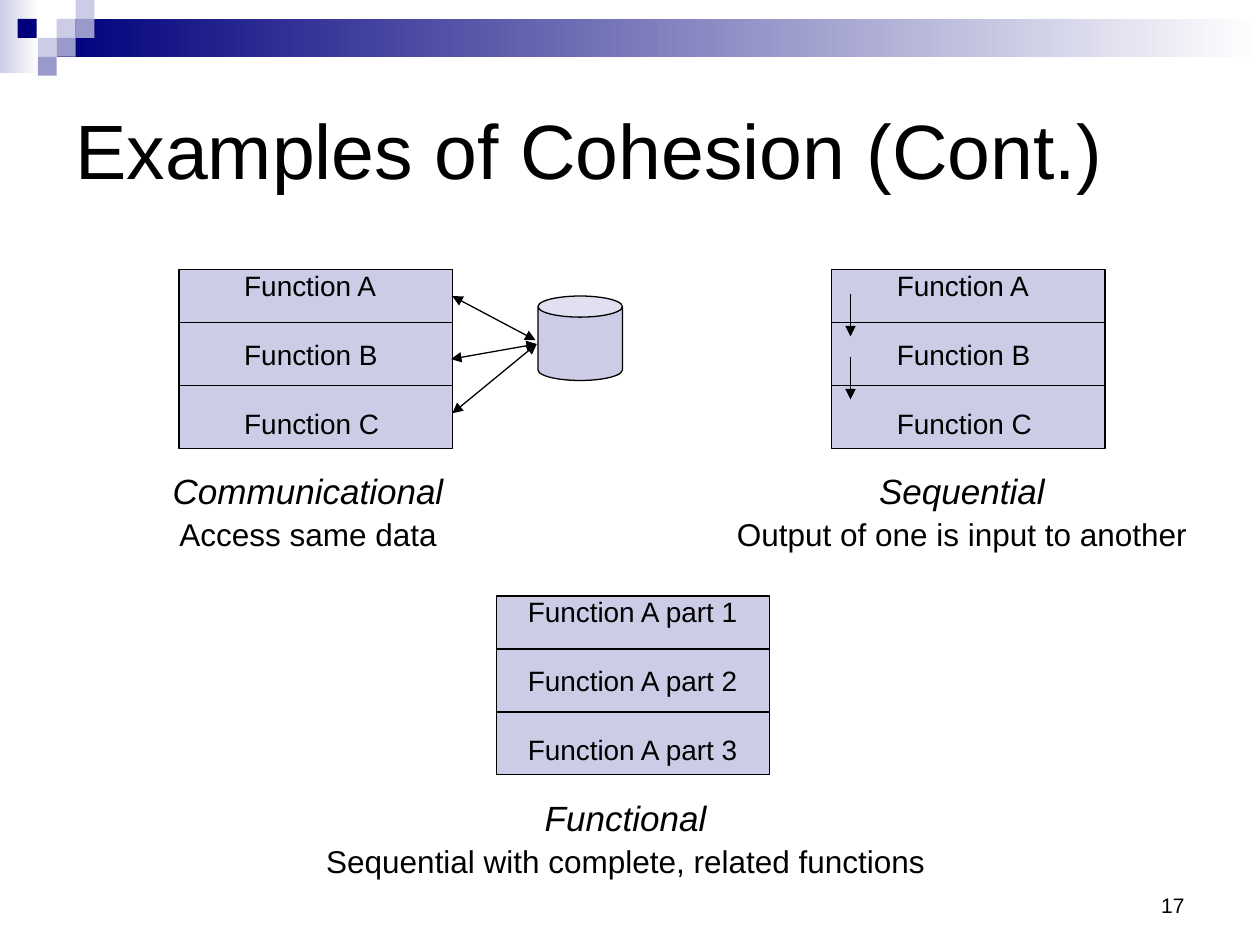
import pptx
import pptx.dml.color
import pptx.enum.shapes
import pptx.enum.text
import pptx.oxml.ns
import pptx.oxml.xmlchemy
import pptx.util

Inches = pptx.util.Inches
Pt = pptx.util.Pt
SHAPE = pptx.enum.shapes.MSO_SHAPE
ALIGN = pptx.enum.text.PP_ALIGN
ANCHOR = pptx.enum.text.MSO_ANCHOR
RGBColor = pptx.dml.color.RGBColor
OxmlElement = pptx.oxml.xmlchemy.OxmlElement

BLACK = RGBColor(0x00, 0x00, 0x00)
WHITE = RGBColor(0xFF, 0xFF, 0xFF)
NAVY = RGBColor(0x00, 0x00, 0x7D)
LAVENDER = RGBColor(0xCC, 0xCC, 0xE6)
PERIWINKLE = RGBColor(0x99, 0x99, 0xCC)

STACK_WIDTH, STACK_HEIGHT = 2.17, 1.42
DIVIDERS = (0.42, 0.92)
TILE = 0.15


def add_block(slide, kind, left, top, width, height, color, outlined=False):
    block = slide.shapes.add_shape(
        kind, Inches(left), Inches(top), Inches(width), Inches(height))
    block.shadow.inherit = False
    block.fill.solid()
    block.fill.fore_color.rgb = color
    if outlined:
        block.line.color.rgb = BLACK
        block.line.width = Pt(0.75)
    else:
        block.line.fill.background()
    return block


def add_fade(slide, left, top, width, height, color):
    band = add_block(slide, SHAPE.RECTANGLE, left, top, width, height, color)
    band.fill.gradient()
    band.fill.gradient_angle = 0
    for stop, shade in zip(band.fill.gradient_stops, (color, WHITE)):
        stop.color.rgb = shade


def add_line(slide, start, end, arrows=()):
    line = slide.shapes.add_connector(
        pptx.enum.shapes.MSO_CONNECTOR.STRAIGHT,
        *(Inches(value) for value in start + end))
    line.line.color.rgb = BLACK
    line.line.width = Pt(0.75)
    properties = line._element.find(pptx.oxml.ns.qn("p:spPr"))
    outline = properties.find(pptx.oxml.ns.qn("a:ln"))
    for arrow in arrows:
        tip = OxmlElement(f"a:{arrow}")
        tip.set("type", "triangle")
        outline.append(tip)
    properties.append(OxmlElement("a:effectLst"))


def add_text(slide, left, top, width, height, lines, sizes, gap=0,
             align=ALIGN.LEFT, anchor=ANCHOR.TOP, wrap=False):
    box = slide.shapes.add_textbox(
        Inches(left), Inches(top), Inches(width), Inches(height))
    frame = box.text_frame
    frame.word_wrap = wrap
    frame.vertical_anchor = anchor
    frame.text = "\n".join(lines)
    for index, (paragraph, size) in enumerate(zip(frame.paragraphs, sizes)):
        paragraph.alignment = align
        paragraph.font.name = "Arial"
        paragraph.font.size = Pt(size)
        paragraph.font.color.rgb = BLACK
        if index:
            paragraph.space_before = Pt(gap)
    return frame


def add_header(slide):
    add_fade(slide, 0, 0, 0.31, 0.58, LAVENDER)
    add_fade(slide, 0.45, 0.15, 9.55, 0.3, NAVY)
    tiles = ((0.45, 0.15, LAVENDER), (0.6, 0, LAVENDER),
             (0.6, 0.15, PERIWINKLE), (0.3, 0.3, LAVENDER),
             (0.14, 0.15, NAVY), (0.45, 0.3, PERIWINKLE),
             (0.3, 0.45, PERIWINKLE))
    for left, top, color in tiles:
        add_block(slide, SHAPE.RECTANGLE, left, top, TILE, TILE, color)


def add_stack(slide, left, top, functions, text_left, text_width):
    add_block(slide, SHAPE.RECTANGLE, left, top, STACK_WIDTH, STACK_HEIGHT,
              LAVENDER, outlined=True)
    for offset in DIVIDERS:
        add_line(slide, (left, top + offset),
                 (left + STACK_WIDTH, top + offset))
    add_text(slide, text_left, top - 0.06, text_width, 1.44, functions,
             (16, 16, 16), gap=20.2)


def add_caption(slide, left, top, width, cohesion, meaning):
    caption = add_text(slide, left, top, width, 0.74, (cohesion, meaning),
                       (20, 18), gap=2, align=ALIGN.CENTER)
    caption.paragraphs[0].font.italic = True


def add_data_store(slide):
    add_block(slide, SHAPE.CAN, 4.27, 2.35, 0.67, 0.67, LAVENDER,
              outlined=True)
    accesses = (((4.26, 2.73), (3.58, 2.85)),
                ((4.25, 2.7), (3.59, 2.35)),
                ((3.59, 3.28), (4.26, 2.73)))
    for start, end in accesses:
        add_line(slide, start, end, ("headEnd", "tailEnd"))


def main():
    deck = pptx.Presentation()
    deck.slide_width, deck.slide_height = Inches(10), Inches(7.5)
    slide = deck.slides.add_slide(deck.slide_layouts[6])

    add_header(slide)
    add_text(slide, 0.5, 0.5, 9, 1.36, ("Examples of Cohesion (Cont.)",),
             (44,), anchor=ANCHOR.MIDDLE, wrap=True)

    parts = [f"Function A part {number}" for number in (1, 2, 3)]
    add_stack(slide, 3.94, 4.73, parts, 4.09, 1.89)
    add_caption(slide, 2.49, 6.27, 4.95, "Functional",
                "Sequential with complete, related functions")

    functions = [f"Function {letter}" for letter in "ABC"]
    add_stack(slide, 1.42, 2.14, functions, 1.84, 1.27)
    add_caption(slide, 1.27, 3.68, 2.35, "Communicational",
                "Access same data")
    add_stack(slide, 6.6, 2.14, functions, 7.02, 1.27)
    add_caption(slide, 5.75, 3.68, 3.77, "Sequential",
                "Output of one is input to another")

    add_data_store(slide)
    for top in (2.33, 2.83):
        add_line(slide, (6.75, top), (6.75, top + 0.34), ("tailEnd",))

    add_text(slide, 7.17, 6.83, 2.33, 0.5, ("17",), (12,),
             align=ALIGN.RIGHT, anchor=ANCHOR.BOTTOM, wrap=True)
    deck.save("out.pptx")


if __name__ == "__main__":
    main()
